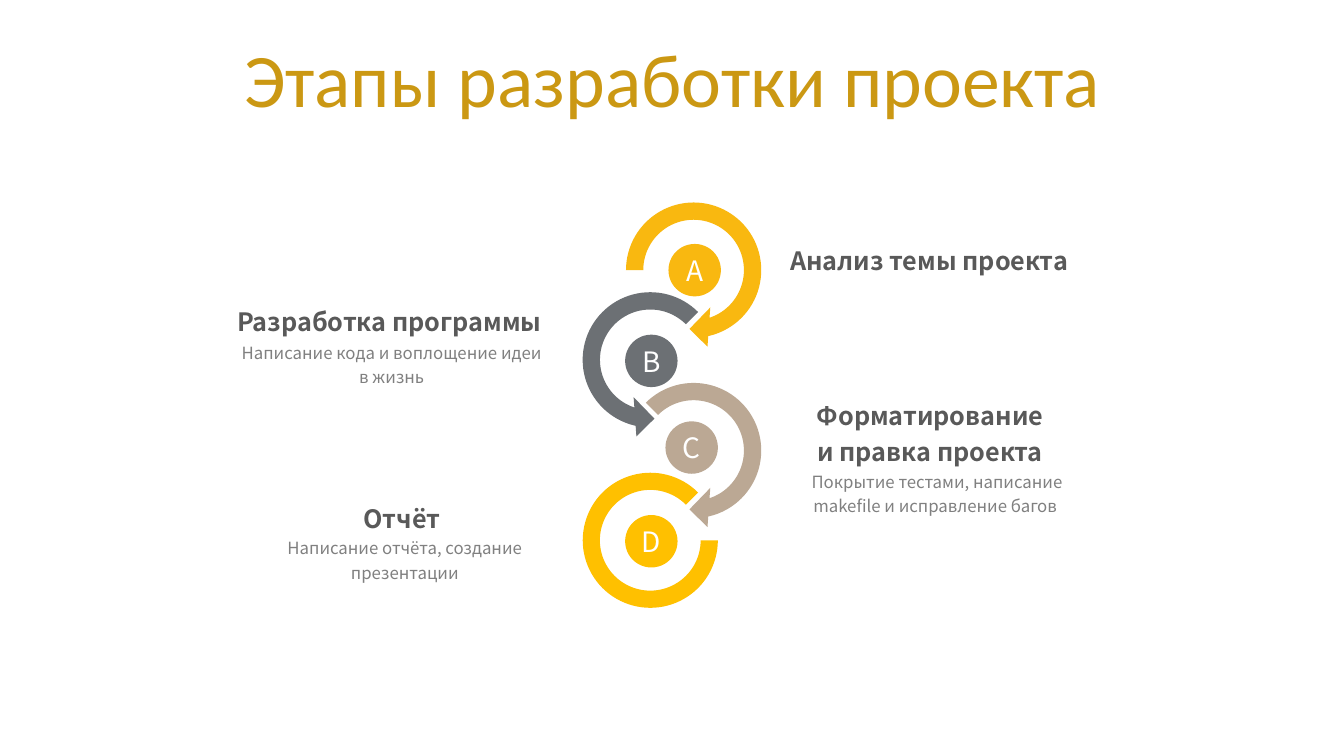
from pptx import Presentation
from pptx.dml.color import RGBColor
from pptx.enum.shapes import MSO_SHAPE
from pptx.enum.text import MSO_ANCHOR, MSO_AUTO_SIZE, PP_ALIGN
from pptx.util import Inches, Pt

RIGHT_ARROW = MSO_SHAPE.CIRCULAR_ARROW
LEFT_ARROW = MSO_SHAPE.LEFT_CIRCULAR_ARROW
ARC = MSO_SHAPE.BLOCK_ARC
CIRCLE = MSO_SHAPE.OVAL
MIDDLE, TOP = MSO_ANCHOR.MIDDLE, MSO_ANCHOR.TOP
GROW = MSO_AUTO_SIZE.SHAPE_TO_FIT_TEXT
CENTER, RIGHT, JUSTIFY = PP_ALIGN.CENTER, PP_ALIGN.RIGHT, PP_ALIGN.JUSTIFY

TITLE_FONT, BODY_FONT = "Calibri", "Noto Sans CJK SC"
GOLD, WHITE, HEADING, DETAIL = "CB9813", "FFFFFF", "595959", "808080"
YELLOW, SLATE, TAUPE, AMBER = "F9B810", "6C7074", "BBA894", "FFC000"
ARROW_SIZE, ARC_SIZE, BADGE_SIZE = 1.56, 1.34, 0.52

# letter, colour, ring shape, ring left, top, size, adjustments, badge left, top
STAGES = [
    ("C", TAUPE, RIGHT_ARROW, 6.1, 3.69, ARROW_SIZE,
     (0.11, 11.42, 45, 135, 0.125), 6.6, 4.18),
    ("D", AMBER, ARC, 5.78, 4.69, ARC_SIZE, (0, 189, 0.127), 6.2, 5.11),
    ("B", SLATE, LEFT_ARROW, 5.67, 2.79, ARROW_SIZE,
     (0.11, 11.42, 63, 189, 0.125), 6.2, 3.32),
    ("A", YELLOW, RIGHT_ARROW, 6.1, 1.9, ARROW_SIZE,
     (0.11, 11.42, 45, 108, 0.125), 6.63, 2.42),
]

# text, left, top, width, height, alignment
HEADINGS = [
    ("Анализ темы проекта", 7.74, 2.32, 3.13, 0.46, JUSTIFY),
    ("Форматирование и правка проекта", 7.91, 3.86, 2.63, 0.83, CENTER),
    ("Разработка программы", 2.18, 2.93, 3.29, 0.45, RIGHT),
    ("Отчёт ", 2.79, 4.88, 2.45, 0.45, CENTER),
]
DETAILS = [
    ("Покрытие тестами, написание makefile и исправление багов ",
     7.81, 4.59, 2.97, 0.83, CENTER),
    ("Написание кода и воплощение идеи в жизнь",
     2.29, 3.31, 3.19, 0.59, CENTER),
    ("Написание отчёта, создание презентации",
     2.42, 5.25, 3.19, 0.59, CENTER),
]


def rgb(color):
    return RGBColor.from_string(color)


def write(frame, text, size, color, font=BODY_FONT, bold=False,
          align=CENTER, anchor=MIDDLE, spacing=1.0):
    frame.vertical_anchor = anchor
    paragraph = frame.paragraphs[0]
    paragraph.text = text
    paragraph.alignment = align
    paragraph.line_spacing = spacing
    paragraph.font.size = Pt(size)
    paragraph.font.name = font
    paragraph.font.bold = bold
    paragraph.font.color.rgb = rgb(color)


def add_text_frame(slide, left, top, width, height):
    box = slide.shapes.add_textbox(
        Inches(left), Inches(top), Inches(width), Inches(height))
    box.text_frame.word_wrap = True
    return box.text_frame


def add_caption(slide, caption, size, color, bold=False):
    text, left, top, width, height, align = caption
    frame = add_text_frame(slide, left, top, width, height)
    frame.auto_size = GROW
    write(frame, text, size, color, bold=bold, align=align, anchor=TOP, spacing=1.2)


def add_filled(slide, kind, left, top, size, color):
    """Add a square-framed shape with a plain fill and no outline."""
    shape = slide.shapes.add_shape(
        kind, Inches(left), Inches(top), Inches(size), Inches(size))
    shape.shadow.inherit = False
    shape.fill.solid()
    shape.fill.fore_color.rgb = rgb(color)
    shape.line.fill.background()
    return shape


def add_badge(slide, letter, left, top, color):
    frame = add_filled(slide, CIRCLE, left, top, BADGE_SIZE, color).text_frame
    frame.margin_left = frame.margin_right = Inches(0)
    frame.margin_top = frame.margin_bottom = Inches(0)
    write(frame, letter, 20, WHITE)


def add_stage(slide, letter, color, kind, left, top, size, adjustments,
              badge_left, badge_top):
    ring = add_filled(slide, kind, left, top, size, color)
    for index, value in enumerate(adjustments):
        ring.adjustments[index] = value
    add_badge(slide, letter, badge_left, badge_top, color)


def main():
    deck = Presentation()
    deck.slide_width, deck.slide_height = Inches(13.33), Inches(7.5)
    slide = deck.slides.add_slide(deck.slide_layouts[6])

    title = add_text_frame(slide, 0.92, 0.4, 11.5, 0.85)
    write(title, "Этапы разработки проекта", 54, GOLD, TITLE_FONT, spacing=0.9)
    for stage in STAGES:
        add_stage(slide, *stage)
    for detail in DETAILS:
        add_caption(slide, detail, 12, DETAIL)
    for heading in HEADINGS:
        add_caption(slide, heading, 18, HEADING, bold=True)
    deck.save("out.pptx")


if __name__ == "__main__":
    main()
